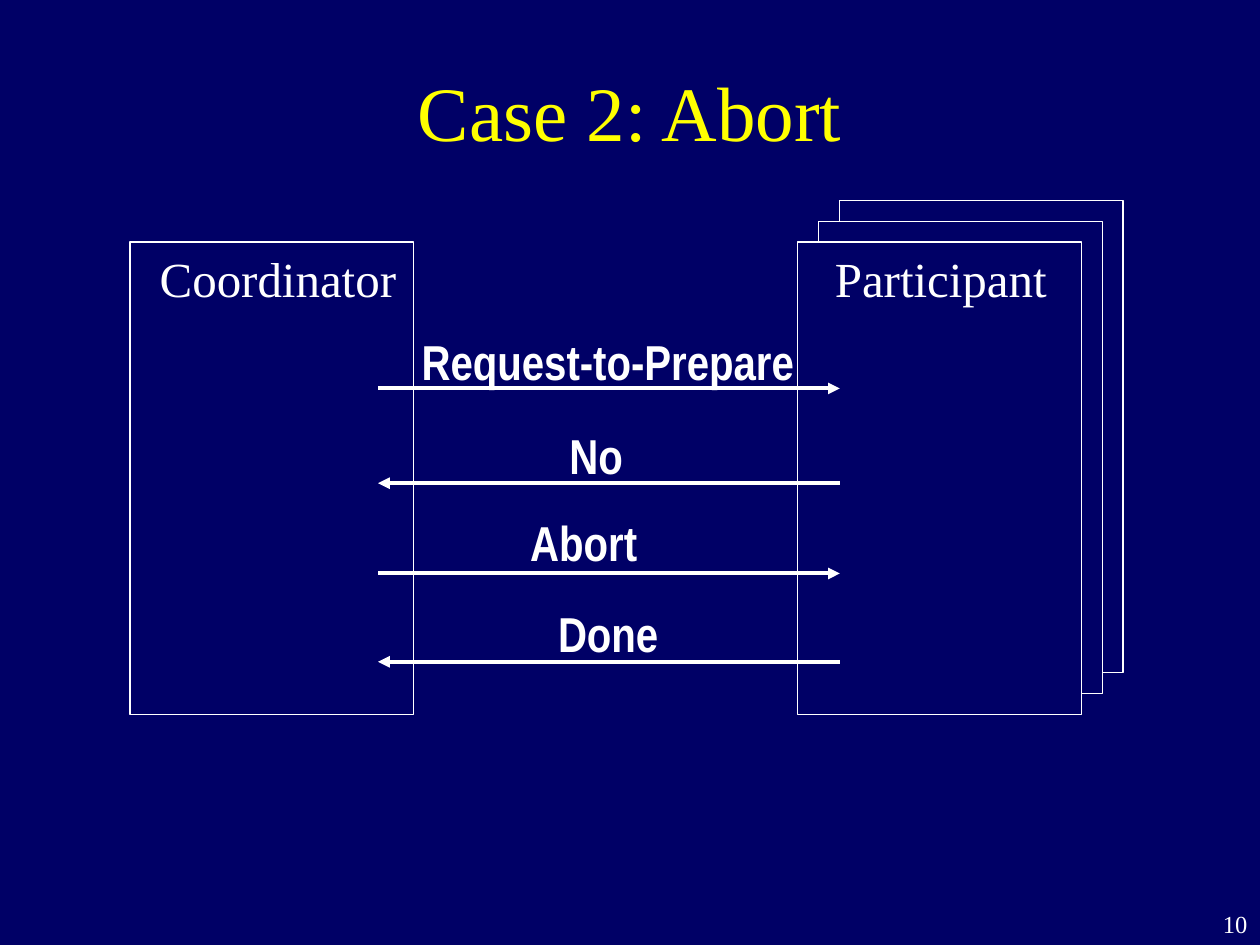
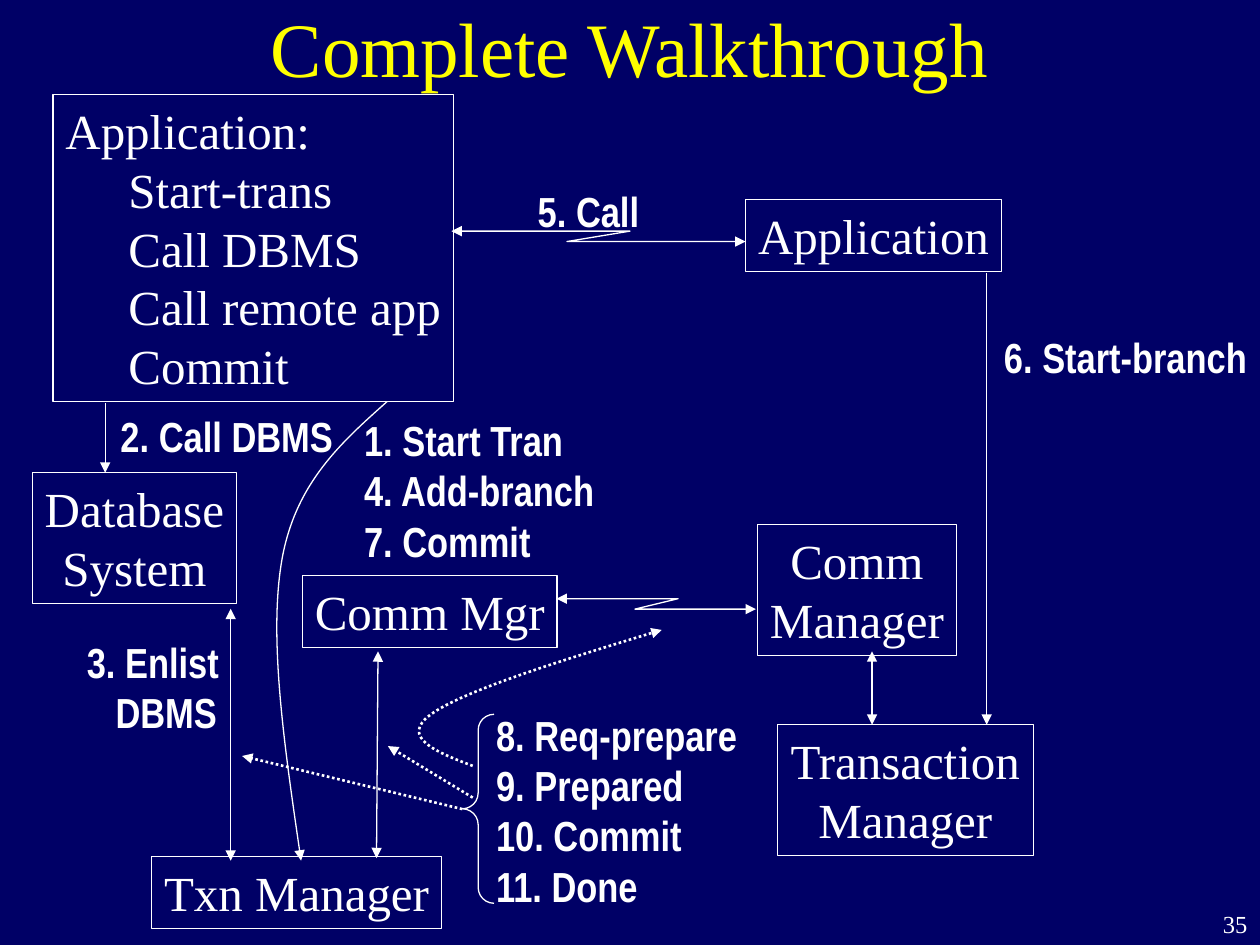
"""Build two slides on two-phase commit: the abort case and the complete walkthrough."""
import lxml.etree
import pptx
import pptx.dml.color
import pptx.enum.dml
import pptx.enum.shapes
import pptx.enum.text
import pptx.oxml.ns
import pptx.util

Cm = pptx.util.Cm
Pt = pptx.util.Pt
qn = pptx.oxml.ns.qn
ALIGN = pptx.enum.text.PP_ALIGN
SHAPE = pptx.enum.shapes.MSO_SHAPE

NAVY = pptx.dml.color.RGBColor(0x00, 0x00, 0x66)
WHITE = pptx.dml.color.RGBColor(0xFF, 0xFF, 0xFF)
YELLOW = pptx.dml.color.RGBColor(0xFF, 0xFF, 0x00)
SERIF = "Times New Roman"
NARROW = "Arial Narrow"
ONE_LINE = 1.45
TWO_LINES = 2.64


class Deck:
    """Hold the shared style and the current slide."""

    def __init__(self):
        self.presentation = pptx.Presentation()
        self.presentation.slide_width = Cm(25.4)
        self.presentation.slide_height = Cm(19.05)
        fill = self.presentation.slide_master.background.fill
        fill.solid()
        fill.fore_color.rgb = NAVY
        self.slide = None

    def add_slide(self, title, top, height, number):
        """Start a slide with its title and page number."""
        layout = self.presentation.slide_layouts.get_by_name("Title Only")
        self.slide = self.presentation.slides.add_slide(layout)
        shape = self.slide.shapes.title
        shape.left, shape.top, shape.width, shape.height = map(Cm, (1.9, top, 21.59, height))
        self.set_lines(shape, [title], 44, color=YELLOW, align=ALIGN.CENTER)
        shape.text_frame.vertical_anchor = pptx.enum.text.MSO_ANCHOR.MIDDLE
        self.label([number], 23.07, 18.2, 2.33, 0.85, size=14, font=SERIF, align=ALIGN.RIGHT, wrap=True)

    def set_lines(self, shape, lines, size, font=SERIF, color=WHITE, align=ALIGN.LEFT, indent=0, wrap=True):
        """Fill a shape with paragraphs, indenting all but the first."""
        frame = shape.text_frame
        frame.text = "\n".join(lines)
        frame.word_wrap = wrap
        frame.auto_size = pptx.enum.text.MSO_AUTO_SIZE.NONE
        frame.vertical_anchor = pptx.enum.text.MSO_ANCHOR.TOP
        for index, paragraph in enumerate(frame.paragraphs):
            paragraph.alignment = align
            if indent and index:
                paragraph._p.get_or_add_pPr().set("marL", str(Cm(indent)))
            for run in paragraph.runs:
                run.font.size = Pt(size)
                run.font.name = font
                run.font.bold = font == NARROW
                run.font.color.rgb = color

    def label(self, lines, left, top, width, height, size=24, font=NARROW, align=ALIGN.LEFT, indent=0, wrap=False):
        """Add free-standing text."""
        shape = self.slide.shapes.add_textbox(Cm(left), Cm(top), Cm(width), Cm(height))
        self.set_lines(shape, lines, size, font, align=align, indent=indent, wrap=wrap)

    def box(self, left, top, width, height, lines=(), align=ALIGN.CENTER, indent=0, fill=None, kind=SHAPE.RECTANGLE):
        """Add an outlined shape, with text if given."""
        shape = self.slide.shapes.add_shape(kind, Cm(left), Cm(top), Cm(width), Cm(height))
        self.outline(shape, fill=fill)
        if lines:
            self.set_lines(shape, lines, 28, align=align, indent=indent, wrap=False)
        return shape

    def outline(self, shape, fill=None):
        """Give a shape a thin white line and an optional fill."""
        shape.shadow.inherit = False
        if fill is None:
            shape.fill.background()
        else:
            shape.fill.solid()
            shape.fill.fore_color.rgb = fill
        self.stroke(shape)

    def stroke(self, shape, width=0.75, dotted=False, ends=()):
        """Set a white line with arrowheads at the named ends."""
        shape.line.color.rgb = WHITE
        shape.line.width = Pt(1.5 if dotted else width)
        if dotted:
            shape.line.dash_style = pptx.enum.dml.MSO_LINE.ROUND_DOT
        for end in ends:
            lxml.etree.SubElement(shape.get_or_add_ln(), qn(f"a:{end}End"), type="triangle")

    def arrow(self, start, finish, width=0.75, dotted=False, both=False):
        """Add a straight arrow."""
        connector = self.slide.shapes.add_connector(
            pptx.enum.shapes.MSO_CONNECTOR.STRAIGHT, *map(Cm, start + finish))
        self.stroke(connector, width, dotted, ("head", "tail") if both else ("tail",))
        lxml.etree.SubElement(connector._element.spPr, qn("a:effectLst"))

    def bent_arrow(self, points, dotted=False, curved=False):
        """Add a zigzag with two heads, or a Bezier curve with one."""
        corners = [(Cm(x), Cm(y)) for x, y in points]
        builder = self.slide.shapes.build_freeform(*corners[0])
        builder.add_line_segments(corners[1:], close=False)
        shape = builder.convert_to_shape()
        self.outline(shape)
        self.stroke(shape, dotted=dotted, ends=("tail",) if curved else ("head", "tail"))
        if curved:
            route = shape._element.find(".//" + qn("a:path"))
            segments = route.findall(qn("a:lnTo"))
            for first in range(0, len(segments), 3):
                curve = lxml.etree.SubElement(route, qn("a:cubicBezTo"))
                for segment in segments[first:first + 3]:
                    curve.append(segment[0])
                    route.remove(segment)


def build_abort(deck):
    """Draw the messages between coordinator and participants."""
    deck.add_slide("Case 2: Abort", 0.64, 3.18, "10")
    box_top, box_width, box_height = 4.88, 5.72, 9.52
    deck.label(["Coordinator"], 2.97, box_top, 5.26, ONE_LINE, 28, SERIF)
    deck.box(2.62, box_top, box_width, box_height)
    for depth in (2, 1, 0):
        shift = 0.42 * depth
        deck.box(16.08 + shift, box_top - shift, box_width, box_height, fill=NAVY)
    deck.label(["Participant"], 16.58, box_top, 4.78, ONE_LINE, 28, SERIF)

    coordinator_x, participant_x = 7.62, 16.93
    messages = [
        ("Request-to-Prepare", 8.25, 6.55, 8, 7.83, True),
        ("No", 11.23, 8.46, 1.57, 9.74, False),
        ("Abort", 10.44, 10.21, 2.67, 11.56, True),
        ("Done", 11, 12.04, 2.51, 13.34, False),
    ]
    for text, left, top, width, arrow_y, outgoing in messages:
        deck.label([text], left, top, width, ONE_LINE, 28)
        start, finish = (coordinator_x, arrow_y), (participant_x, arrow_y)
        if not outgoing:
            start, finish = finish, start
        deck.arrow(start, finish, width=2.25)


def build_walkthrough(deck):
    """Draw the components and the numbered steps between them."""
    deck.add_slide("Complete Walkthrough", 0, 1.9, "35")
    deck.box(1.07, 1.9, 8.08, 6.2,
             ["Application:", "Start-trans", "Call DBMS", "Call remote app", "Commit"],
             align=ALIGN.LEFT, indent=1.27)
    components = [
        (15.03, 4.02, 5.16, ONE_LINE, ["Application"]),
        (6.1, 11.6, 5.13, ONE_LINE, ["Comm Mgr"]),
        (0.65, 9.53, 4.12, TWO_LINES, ["Database", "System"]),
        (3.06, 17.27, 5.84, ONE_LINE, ["Txn Manager"]),
        (15.67, 14.61, 5.16, TWO_LINES, ["Transaction", "Manager"]),
        (15.27, 10.58, 4.01, TWO_LINES, ["Comm", "Manager"]),
    ]
    for component in components:
        deck.box(*component)

    steps = [
        (["8. Req-prepare", "9. Prepared", "10. Commit", "11. Done"], 9.75, 14.17, 5.36, 4.32),
        (["1. Start Tran", "4. Add-branch", "7. Commit"], 7.09, 8.23, 5.18, 3.3),
        (["2. Call DBMS"], 2.18, 8.15, 4.78, 1.27),
        (["5. Call"], 10.59, 3.61, 2.54, 1.27),
        (["6. Start-branch"], 19.99, 6.55, 5.41, 1.27),
    ]
    for step in steps:
        deck.label(*step)
    deck.label(["3. Enlist", "DBMS"], 1.5, 12.7, 3.18, 2.29, indent=0.58)

    deck.bent_arrow([(9.1, 4.66), (12.7, 4.66), (11.43, 4.87), (15.03, 4.87)])
    deck.bent_arrow([(11.22, 12.07), (13.67, 12.07), (12.8, 12.28), (15.24, 12.28)])
    deck.arrow((2.12, 8.13), (2.12, 9.53))
    deck.arrow((19.89, 5.51), (19.89, 14.61))
    deck.arrow((7.62, 13.13), (7.59, 17.3), both=True)
    deck.arrow((17.58, 13.13), (17.58, 14.61), both=True)
    deck.arrow((4.65, 12.27), (4.65, 17.35), both=True)
    deck.bent_arrow([(7.8, 8.1), (6.88, 8.92), (5.97, 9.73), (5.69, 11.25),
                     (5.41, 12.8), (5.74, 15.09), (6.07, 17.35)], curved=True)

    brace = deck.box(9.32, 14.4, 0.64, 3.81, kind=SHAPE.LEFT_BRACE)
    brace.adjustments[0] = 0.5
    deck.arrow((9.32, 16.31), (4.88, 15.24), dotted=True)
    deck.arrow((9.53, 16.08), (7.82, 15.04), dotted=True)
    deck.bent_arrow([(9.53, 15.44), (8.79, 15.16), (8.05, 14.86), (8.69, 14.4),
                     (9.32, 13.94), (11.33, 13.31), (13.34, 12.7)], dotted=True, curved=True)


def main():
    """Build and save the presentation."""
    deck = Deck()
    build_abort(deck)
    build_walkthrough(deck)
    deck.presentation.save("out.pptx")


if __name__ == "__main__":
    main()
